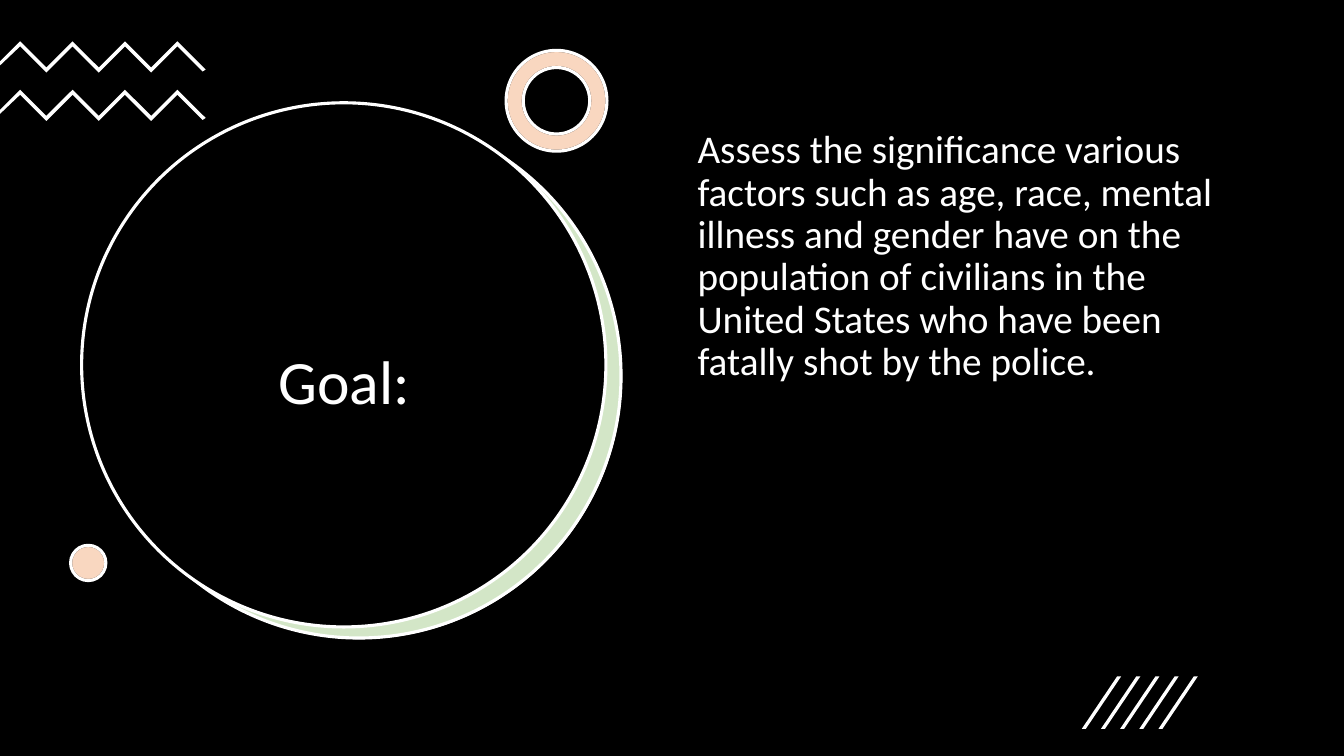
from pptx import Presentation
from pptx.dml.color import RGBColor
from pptx.enum import shapes, text
from pptx.oxml.ns import qn
from pptx.util import Inches, Pt
from lxml import etree

COLORS = {"black": "000000", "white": "FFFFFF", "green": "70AD47", "orange": "ED7D31"}
FONT = "Calibri"
OVAL = shapes.MSO_SHAPE.OVAL
DONUT = shapes.MSO_SHAPE.DONUT


def rgb(name):
    """Return the named colour."""
    return RGBColor.from_string(COLORS[name])


def style(sp, fill, line=None, alpha=None):
    """Set the fill, outline and opacity percentage of a shape."""
    sp.shadow.inherit = False
    sp.fill.solid()
    sp.fill.fore_color.rgb = rgb(fill)
    if alpha is not None:
        color = sp.fill._xPr.find(qn("a:solidFill"))[0]
        etree.SubElement(color, qn("a:alpha"), val=str(alpha * 1000))
    if line:
        sp.line.color.rgb = rgb(line)
        sp.line.width = Pt(2.25)
    else:
        sp.line.fill.background()


def add_preset(s, kind, box, fill, line=None, alpha=None):
    """Add a styled preset shape."""
    sp = s.shapes.add_shape(kind, *map(Inches, box))
    if kind == DONUT:
        sp.adjustments[0] = 0.17
    style(sp, fill, line, alpha)


def add_tinted(s, kind, box):
    """Add a white shape under a translucent orange one."""
    add_preset(s, kind, box, "white", "black")
    add_preset(s, kind, box, "orange", "white", alpha=30)


def add_polygon(group, points):
    """Add a closed white polygon to a group."""
    pts = [(Inches(x), Inches(y)) for x, y in points]
    builder = group.shapes.build_freeform(*pts[0], scale=1.0)
    builder.add_line_segments(pts[1:], close=True)
    style(builder.convert_to_shape(), "white")


def add_zigzag(group, top):
    """Add a zigzag band running in from the left edge."""
    upper = [(0.2 + 0.26 * i, top + 0.26 * (i % 2)) for i in range(7)]
    lower = [(x, y + 0.05) for x, y in reversed(upper)]
    right = [(2.04, top + 0.28), (2.01, top + 0.3)]
    left = [(0, top + 0.24), (0, top + 0.2)]
    add_polygon(group, upper + right + lower + left)


def add_slash(group, x):
    """Add one slanted stripe."""
    add_polygon(group, [(x + 0.04, 7.23), (x, 7.23), (x + 0.35, 6.71), (x + 0.39, 6.71)])


def add_text(s, content, box, size, align="LEFT", anchor="TOP", before=0):
    """Add a wrapped white text box."""
    tf = s.shapes.add_textbox(*map(Inches, box)).text_frame
    tf.word_wrap = True
    tf.vertical_anchor = text.MSO_ANCHOR[anchor]
    p = tf.paragraphs[0]
    p.alignment = text.PP_ALIGN[align]
    p.line_spacing = 0.9
    p.space_before = Pt(before)
    r = p.add_run()
    r.text = content
    r.font.name = FONT
    r.font.size = Pt(size)
    r.font.color.rgb = rgb("white")


def main():
    """Build and save the goal slide."""
    prs = Presentation()
    prs.slide_width, prs.slide_height = Inches(13.33), Inches(7.5)
    s = prs.slides.add_slide(prs.slide_layouts[6])

    add_preset(s, shapes.MSO_SHAPE.RECTANGLE, (0, 0, 13.33, 7.5), "black")
    add_preset(s, OVAL, (0.97, 1.14, 5.2, 5.2), "white")
    add_preset(s, OVAL, (0.96, 1.13, 5.2, 5.2), "green", "white", alpha=30)
    add_preset(s, OVAL, (0.81, 1.02, 5.2, 5.2), "black", "white")
    add_text(s, "Goal:", (1.21, 2.05, 4.41, 3.52), 44, align="CENTER", anchor="MIDDLE")

    zigzags = s.shapes.add_group_shape()
    for top in (0.41, 0.89):
        add_zigzag(zigzags, top)

    add_tinted(s, DONUT, (5.02, 0.5, 1, 1))
    add_tinted(s, OVAL, (0.7, 5.41, 0.35, 0.35))
    add_text(
        s,
        "Assess the significance various factors such as age, race, mental illness "
        "and gender have on the population of civilians in the United States who "
        "have been fatally shot by the police.",
        (6.82, 1.24, 5.71, 4.76), 28, before=10,
    )

    slashes = s.shapes.add_group_shape()
    for i in range(5):
        add_slash(slashes, 10.73 + 0.19 * i)

    prs.save("out.pptx")


if __name__ == "__main__":
    main()
